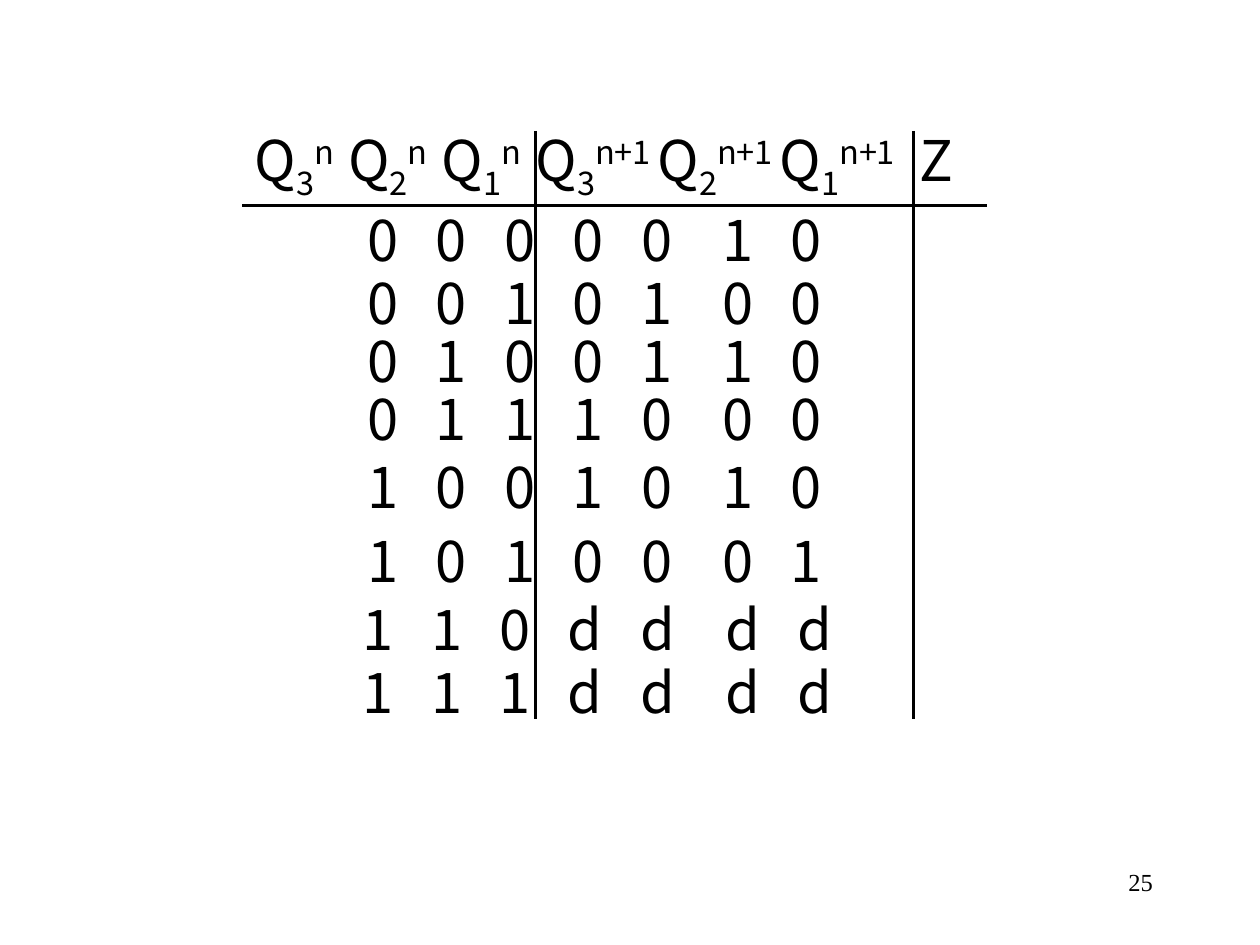
from itertools import accumulate

from lxml import etree
from pptx import Presentation
from pptx import util as u
from pptx.dml.color import RGBColor
from pptx.enum import shapes, text
from pptx.oxml.ns import qn

INK = "000000"
TABLE_FONT = "Noto Sans CJK SC"
SPACE = 0.25
GLYPH_WIDTHS = {"0": 0.63, "1": 0.63, "d": 0.71}
SPACES_BETWEEN = [3, 3, 3, 3, 4, 3]
HEADER_PITCHES = [1.89, 1.89, 1.89, 2.46, 2.46, 2.81]
SUBSCRIPT, SUPERSCRIPT = -25, 30
STATE_ROWS = [
    (1.60, "0000010"),
    (2.87, "0010100"),
    (4.04, "0100110"),
    (5.21, "0111000"),
    (6.58, "1001010"),
    (8.08, "1010001"),
    (9.45, "110dddd"),
    (10.72, "111dddd"),
]


def color(hex_value):
    """Turn a hex string into a colour."""
    return RGBColor.from_string(hex_value)


def add_run(paragraph, words, size=32, font=TABLE_FONT, baseline=0):
    """Append one formatted run, raised or lowered by baseline percent."""
    run = paragraph.add_run()
    run.text = words
    run.font.size = u.Pt(size)
    run.font.name = font
    run.font.color.rgb = color(INK)
    if baseline:
        run.font._element.set("baseline", str(baseline * 1000))


def add_line_of_text(parent, left, top, width, height, stops=()):
    """Add a text box with tab stops in cm and return its paragraph."""
    box = parent.add_textbox(u.Cm(left), u.Cm(top), u.Cm(width), u.Cm(height))
    box.text_frame.word_wrap = True
    paragraph = box.text_frame.paragraphs[0]
    if stops:
        tab_list = etree.SubElement(paragraph._p.get_or_add_pPr(), qn("a:tabLst"))
        for stop in stops:
            etree.SubElement(tab_list, qn("a:tab"), pos=str(u.Cm(stop)), algn="l")
    return paragraph


def add_rule(parent, x1, y1, x2, y2):
    """Draw one straight table rule."""
    rule = parent.add_connector(
        shapes.MSO_CONNECTOR.STRAIGHT, u.Cm(x1), u.Cm(y1), u.Cm(x2), u.Cm(y2)
    )
    rule.line.color.rgb = color(INK)
    rule.line.width = u.Pt(1.5)
    etree.SubElement(rule._element.spPr, qn("a:effectLst"))


def add_header(parent, left, top, width):
    """Write the present state, next state and output headings."""
    heading = add_line_of_text(
        parent, left, top, width, 1.8, list(accumulate(HEADER_PITCHES))
    )
    lead = ""
    for step in ("n", "n+1"):
        for bit in "321":
            add_run(heading, lead + "Q")
            add_run(heading, bit, baseline=SUBSCRIPT)
            add_run(heading, step, baseline=SUPERSCRIPT)
            lead = "\t"
    add_run(heading, "\tZ")


def add_state_row(parent, left, top, values):
    """Write one row of states, each value starting at a tab stop."""
    pitches = [
        GLYPH_WIDTHS[value] + spaces * SPACE
        for value, spaces in zip(values, SPACES_BETWEEN)
    ]
    row = add_line_of_text(parent, left, top, 10.8, 1.63, list(accumulate(pitches)))
    add_run(row, "\t".join(values))


def add_state_table(slide, left, top, width, height):
    """Build the state transition table inside the given box."""
    parts = slide.shapes.add_group_shape().shapes
    add_rule(parts, left, top + 1.73, left + width, top + 1.73)
    for x in (5.92, 13.54):
        add_rule(parts, left + x, top + 0.23, left + x, top + height)
    add_header(parts, left, top, 15.2)
    for offset, values in STATE_ROWS:
        indent = 2.18 if "d" in values else 2.28
        add_state_row(parts, left + indent, top + offset, values)


def add_page_number(slide, left, top, width, height):
    """Write the page number at the right of its box."""
    number = add_line_of_text(slide.shapes, left, top, width, height)
    number.alignment = text.PP_ALIGN.RIGHT
    add_run(number, "25", size=14, font="Times New Roman")


def main():
    """Create and save the slide."""
    deck = Presentation()
    deck.slide_width, deck.slide_height = u.Cm(25.4), u.Cm(19.05)
    slide = deck.slides.add_slide(deck.slide_layouts[6])
    add_state_table(slide, 4.88, 2.41, 15.01, 12.09)
    add_page_number(slide, 18.21, 17.35, 5.28, 1.27)
    deck.save("out.pptx")


if __name__ == "__main__":
    main()
